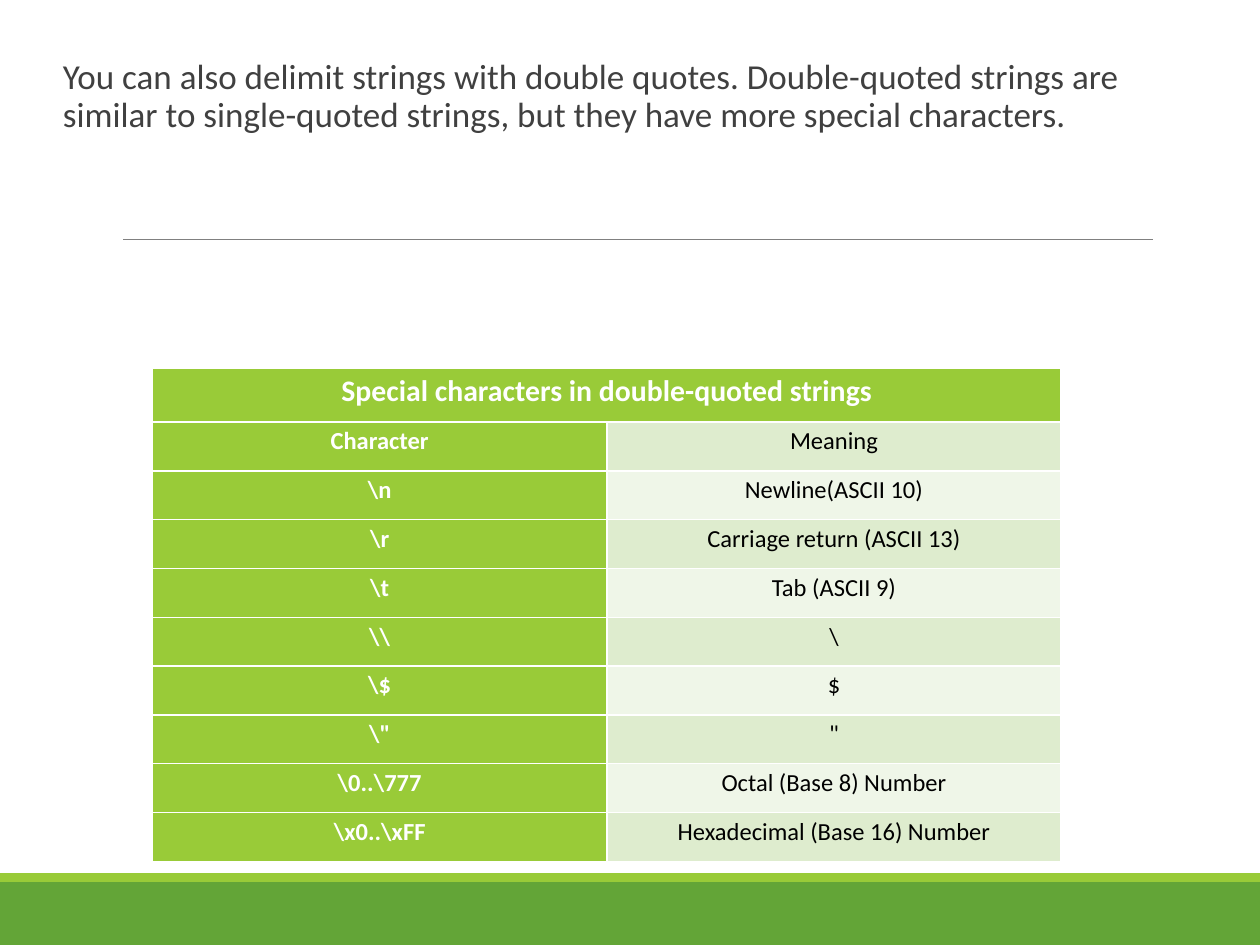
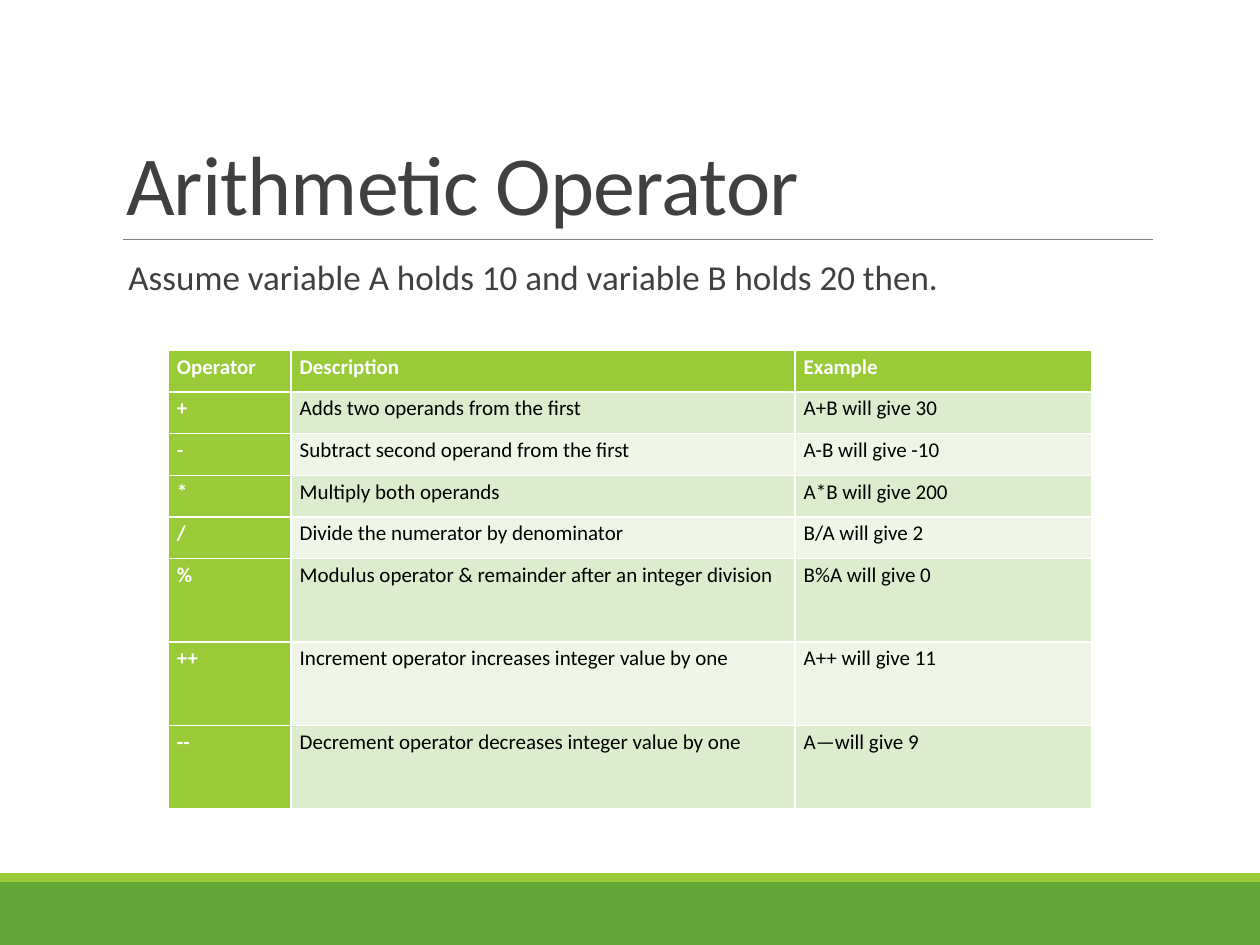
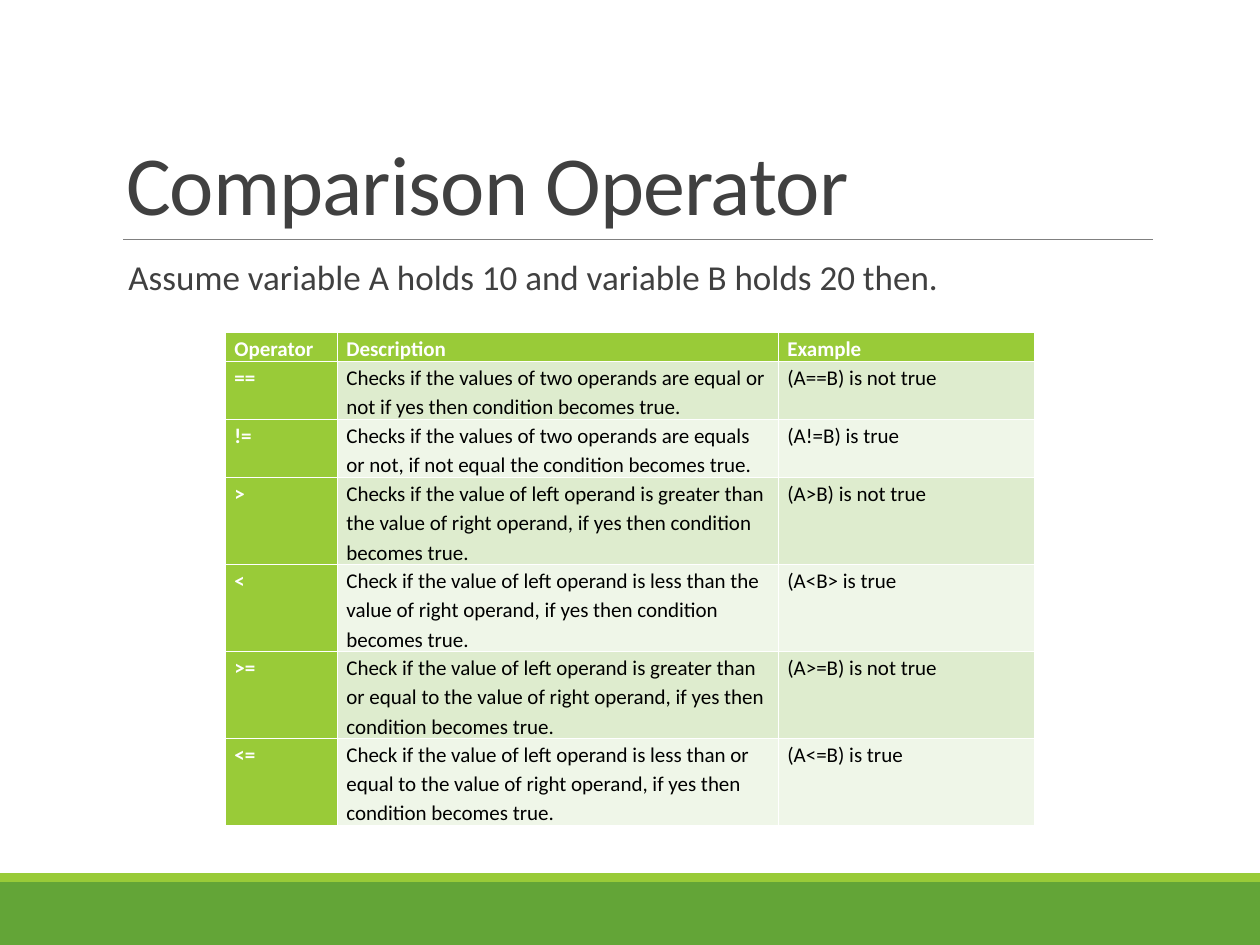
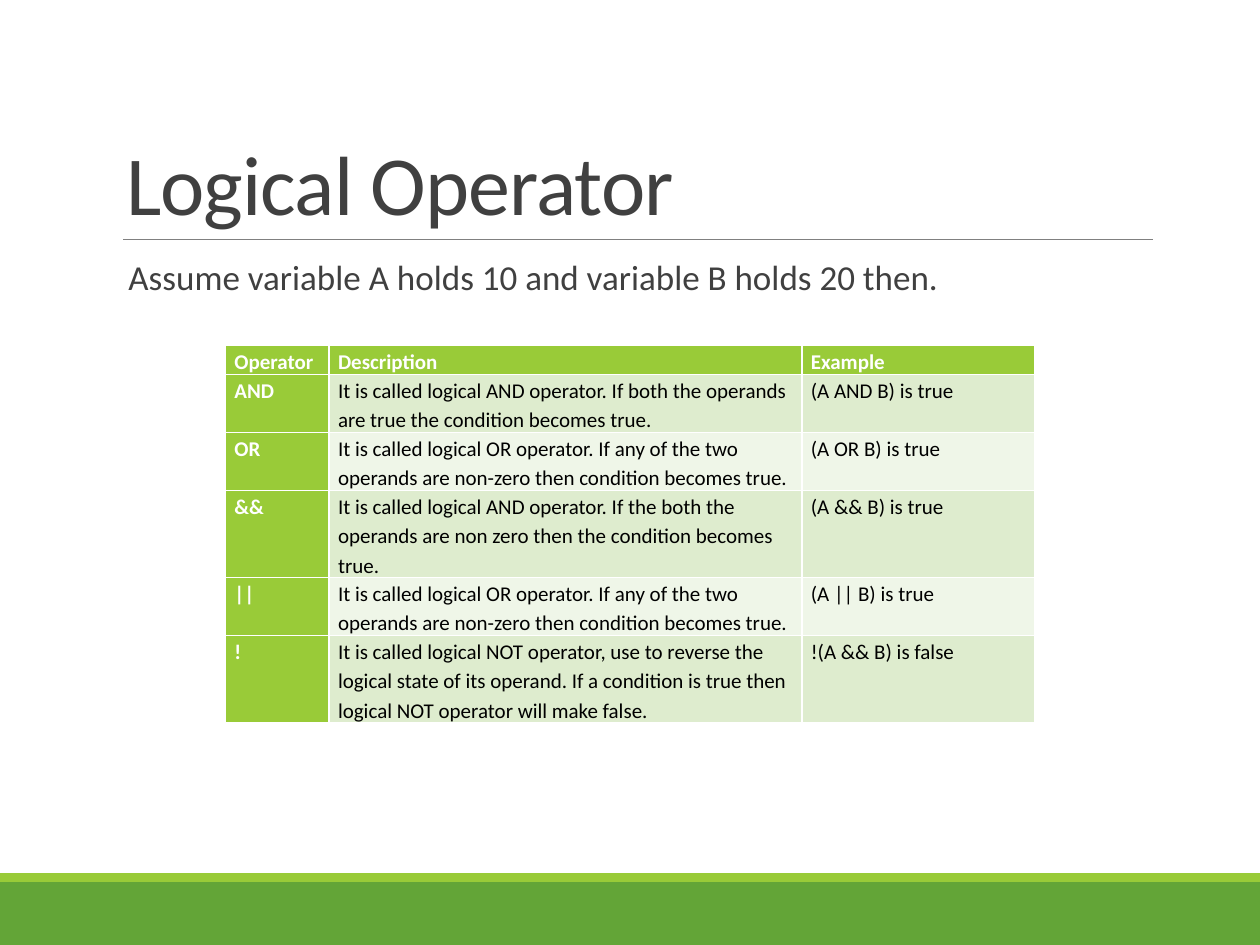
from dataclasses import dataclass

import pptx
import pptx.dml.color
import pptx.enum.shapes
import pptx.enum.text
import pptx.oxml.ns
import pptx.presentation
import pptx.shapes.autoshape
import pptx.slide
import pptx.text.text
import pptx.util
from lxml import etree

Pt = pptx.util.Pt
RGBColor = pptx.dml.color.RGBColor
ALIGN = pptx.enum.text.PP_ALIGN
ANCHOR = pptx.enum.text.MSO_ANCHOR

WHITE = RGBColor(0xFF, 0xFF, 0xFF)
BLACK = RGBColor(0x00, 0x00, 0x00)
DARK = RGBColor(0x40, 0x40, 0x40)
GRAY = RGBColor(0x80, 0x80, 0x80)
GREEN = RGBColor(0x63, 0xA5, 0x37)
LIME = RGBColor(0x99, 0xCB, 0x38)
ROW_FILLS = (RGBColor(0xEF, 0xF6, 0xE8), RGBColor(0xDE, 0xEC, 0xCE))
FONT = "Calibri"
SLIDE_W, SLIDE_H = 720, 540
ASSUMPTION = "Assume variable A holds 10 and variable B holds 20 then."
OPERATOR_HEADS = ("Operator", "Description", "Example")


@dataclass(frozen=True)
class Band:
    top: float
    height: float
    color: RGBColor


@dataclass(frozen=True)
class TableStyle:
    head_size: float
    size: float
    inset: float
    align: ALIGN
    space_after: float


@dataclass(frozen=True)
class TableSpec:
    left: float
    top: float
    widths: tuple[float, ...]
    heights: tuple[float, ...]
    rows: tuple[tuple[str, ...], ...]
    style: TableStyle


@dataclass(frozen=True)
class OperatorSlide:
    title: str
    table: TableSpec


BANDS = (Band(504, 36, GREEN), Band(499, 5, LIME))
CENTERED = TableStyle(17, 14, 6.5, ALIGN.CENTER, 10)
COMPACT = TableStyle(12, 12, 5.1, ALIGN.LEFT, 0)


def line_heights(pitch: float, counts: tuple[int, ...]) -> tuple[float, ...]:
    return tuple(pitch * count for count in counts)


ESCAPES = TableSpec(
    87.2, 210.2, (259.6, 259.6), (31,) + line_heights(27.9, (1,) * 9),
    (
        ("Special characters in double-quoted strings", ""),
        ("Character", "Meaning"),
        (r"\n", "Newline(ASCII 10)"),
        (r"\r", "Carriage return (ASCII 13)"),
        (r"\t", "Tab (ASCII 9)"),
        (r"\\", "\\"),
        (r"\$", "$"),
        (r"\"", '"'),
        (r"\0..\777", "Octal (Base 8) Number"),
        (r"\x0..\xFF", "Hexadecimal (Base 16) Number"),
    ),
    CENTERED,
)

OPERATOR_SLIDES = (
    OperatorSlide("Arithmetic Operator", TableSpec(
        96, 200.2, (70.2, 288, 169.6),
        line_heights(23.82, (1, 1, 1, 1, 1, 2, 2, 2)),
        (
            OPERATOR_HEADS,
            ("+", "Adds two operands from the first", "A+B will give 30"),
            ("-", "Subtract second operand from the first", "A-B will give -10"),
            ("*", "Multiply both operands", "A*B will give 200"),
            ("/", "Divide the numerator by denominator", "B/A will give 2"),
            ("%", "Modulus operator & remainder after an integer division",
             "B%A will give 0"),
            ("++", "Increment operator increases integer value by one",
             "A++ will give 11"),
            ("--", "Decrement operator decreases integer value by one",
             "A—will give 9"),
        ),
        COMPACT,
    )),
    OperatorSlide("Comparison Operator", TableSpec(
        128.9, 190, (64, 252, 146.2),
        line_heights(16.15, (1, 2, 2, 3, 3, 3, 3)),
        (
            OPERATOR_HEADS,
            ("==", "Checks if the values of two operands are equal or not "
             "if yes then condition becomes true.", "(A==B) is not true"),
            ("!=", "Checks if the values of two operands are equals or not, "
             "if not equal the condition becomes true.", "(A!=B) is true"),
            (">", "Checks if the value of left operand is greater than the value "
             "of right operand, if yes then condition becomes true.",
             "(A>B) is not true"),
            ("<", "Check if the value of left operand is less than the value "
             "of right operand, if yes then condition becomes true.",
             "(A<B> is true"),
            (">=", "Check if the value of left operand is greater than or equal to "
             "the value of right operand, if yes then condition becomes true.",
             "(A>=B) is not true"),
            ("<=", "Check if the value of left operand is less than or equal to "
             "the value of right operand, if yes then condition becomes true.",
             "(A<=B) is true"),
        ),
        COMPACT,
    )),
    OperatorSlide("Logical Operator", TableSpec(
        128.9, 197.4, (59.2, 270.2, 132.8),
        line_heights(16.15, (1, 2, 2, 3, 2, 3)),
        (
            OPERATOR_HEADS,
            ("AND", "It is called logical AND operator. If both the operands are "
             "true the condition becomes true.", "(A AND B) is true"),
            ("OR", "It is called logical OR operator. If any of the two operands "
             "are non-zero then condition becomes true.", "(A OR B) is true"),
            ("&&", "It is called logical AND operator. If the both the operands "
             "are non zero then the condition becomes true.", "(A && B) is true"),
            ("||", "It is called logical OR operator. If any of the two operands "
             "are non-zero then condition becomes true.", "(A || B) is true"),
            ("!", "It is called logical NOT operator, use to reverse the logical "
             "state of its operand. If a condition is true then logical NOT "
             "operator will make false.", "!(A && B) is false"),
        ),
        COMPACT,
    )),
)


def write(
    tf: pptx.text.text.TextFrame,
    text: str,
    *,
    size: float,
    color: RGBColor = DARK,
    bold: bool = False,
    align: ALIGN = ALIGN.LEFT,
    spacing: float = 0.9,
    after: float = 0,
    indent: float = 0,
    tracking: float = 0,
) -> None:
    p = tf.paragraphs[0]
    p.alignment = align
    p.line_spacing = spacing
    p.space_after = Pt(after)
    if indent:
        p._p.get_or_add_pPr().set("marL", str(Pt(indent)))
    r = p.add_run()
    r.text = text
    r.font.name = FONT
    r.font.size = Pt(size)
    r.font.bold = bold
    r.font.color.rgb = color
    if tracking:
        r._r.get_or_add_rPr().set("spc", str(round(tracking * 100)))


def add_frame(s: pptx.slide.Slide) -> None:
    for band in BANDS:
        sp = s.shapes.add_shape(
            pptx.enum.shapes.MSO_SHAPE.RECTANGLE,
            Pt(0), Pt(band.top), Pt(SLIDE_W), Pt(band.height),
        )
        sp.shadow.inherit = False
        sp.fill.solid()
        sp.fill.fore_color.rgb = band.color
        sp.line.fill.background()
    rule = s.shapes.add_connector(
        pptx.enum.shapes.MSO_CONNECTOR.STRAIGHT,
        Pt(70.4), Pt(136.8), Pt(658.8), Pt(136.8),
    )
    rule.line.color.rgb = GRAY
    rule.line.width = Pt(0.5)
    etree.SubElement(rule._element.spPr, pptx.oxml.ns.qn("a:effectLst"))


def add_title(s: pptx.slide.Slide, text: str) -> None:
    sp = s.shapes.title
    sp.left, sp.top, sp.width, sp.height = Pt(64.8), Pt(22.6), Pt(594), Pt(114.2)
    tf = sp.text_frame
    tf.vertical_anchor = ANCHOR.BOTTOM
    write(tf, text, size=48, spacing=0.85, tracking=-0.5)


def add_body(
    s: pptx.slide.Slide, text: str, left: float, top: float,
    width: float, height: float, indent: float = 0,
) -> None:
    tf = s.shapes.add_textbox(Pt(left), Pt(top), Pt(width), Pt(height)).text_frame
    tf.word_wrap = True
    tf.margin_left = tf.margin_right = Pt(0)
    write(tf, text, size=20, after=2, indent=indent)


def add_table(s: pptx.slide.Slide, spec: TableSpec) -> None:
    style = spec.style
    table = s.shapes.add_table(
        len(spec.rows), len(spec.widths), Pt(spec.left), Pt(spec.top),
        Pt(sum(spec.widths)), Pt(sum(spec.heights)),
    ).table
    table.first_col = True
    for column, width in zip(table.columns, spec.widths):
        column.width = Pt(width)
    for row, height in zip(table.rows, spec.heights):
        row.height = Pt(height)
    for i, texts in enumerate(spec.rows):
        for j, text in enumerate(texts):
            cell = table.cell(i, j)
            strong = i == 0 or j == 0
            cell.fill.solid()
            cell.fill.fore_color.rgb = LIME if strong else ROW_FILLS[i % 2]
            cell.margin_left = cell.margin_right = Pt(style.inset)
            cell.margin_top = cell.margin_bottom = Pt(0)
            if text:
                write(
                    cell.text_frame, text,
                    size=style.size if i else style.head_size,
                    color=WHITE if strong else BLACK, bold=strong,
                    align=style.align, spacing=1.15, after=style.space_after,
                )
            else:
                table.cell(i, j - 1).merge(cell)


def add_escape_slide(prs: pptx.presentation.Presentation) -> None:
    s = prs.slides.add_slide(prs.slide_layouts.get_by_name("Blank"))
    add_frame(s)
    add_body(
        s,
        "You can also delimit strings with double quotes. Double-quoted strings "
        "are similar to single-quoted strings, but they have more special characters.",
        36, 30.2, 648, 452.2,
    )
    add_table(s, ESCAPES)


def add_operator_slide(
    prs: pptx.presentation.Presentation, content: OperatorSlide,
) -> None:
    s = prs.slides.add_slide(prs.slide_layouts.get_by_name("Title Only"))
    add_frame(s)
    add_title(s, content.title)
    add_body(s, ASSUMPTION, 64.8, 145.4, 594, 316.8, indent=8.6)
    add_table(s, content.table)


def main() -> None:
    prs = pptx.Presentation()
    prs.slide_width, prs.slide_height = Pt(SLIDE_W), Pt(SLIDE_H)
    add_escape_slide(prs)
    for content in OPERATOR_SLIDES:
        add_operator_slide(prs, content)
    prs.save("out.pptx")


if __name__ == "__main__":
    main()
